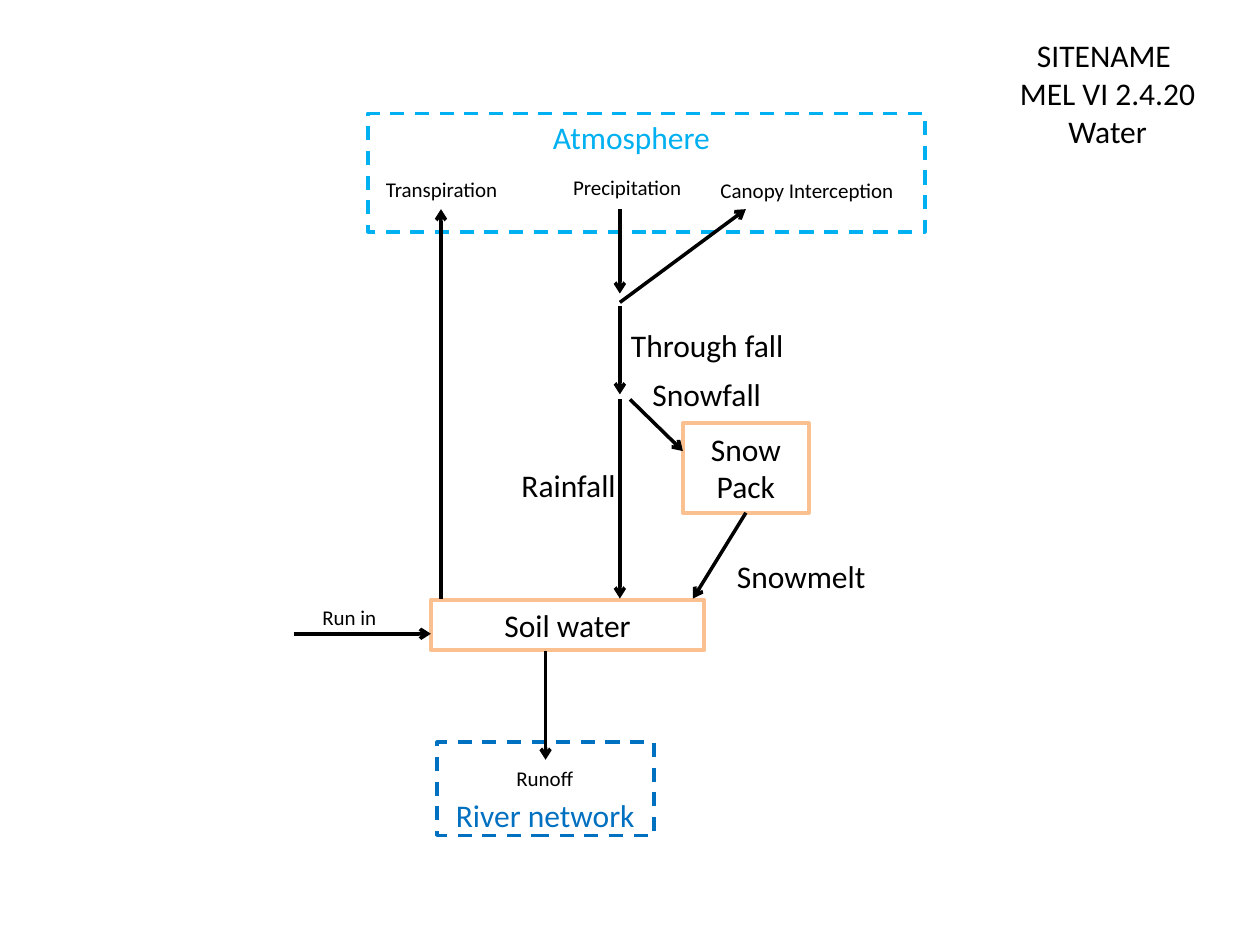
"""Build the water-cycle flow diagram slide."""
from lxml import etree
from pptx import Presentation
from pptx.dml.color import RGBColor
from pptx.enum.dml import MSO_LINE
from pptx.enum.shapes import MSO_CONNECTOR, MSO_SHAPE
from pptx.enum.text import MSO_ANCHOR, PP_ALIGN
from pptx.oxml.ns import qn
from pptx.util import Inches, Pt

DASH = MSO_LINE.DASH
STRAIGHT = MSO_CONNECTOR.STRAIGHT
RECTANGLE = MSO_SHAPE.RECTANGLE
TOP = MSO_ANCHOR.TOP
LEFT, CENTER = PP_ALIGN.LEFT, PP_ALIGN.CENTER
BLACK, ORANGE, SKY, BLUE = "000000", "FAC090", "00B0F0", "0070C0"


def color(value):
    """Return the colour for a hex string."""
    return RGBColor.from_string(value)


def write(shape, text, size, font_color, alignment, wrap=True):
    """Fill a shape with formatted text."""
    frame = shape.text_frame
    frame.text = text
    frame.word_wrap = wrap
    frame.vertical_anchor = TOP
    for paragraph in frame.paragraphs:
        paragraph.alignment = alignment
        for run in paragraph.runs:
            run.font.name = "Calibri"
            run.font.size = Pt(size)
            run.font.color.rgb = color(font_color)


presentation = Presentation()
presentation.slide_width = Inches(10)
presentation.slide_height = Inches(7.5)
slide = presentation.slides.add_slide(presentation.slide_layouts[6])

boxes = [
    (3.42, 4.76, 2.17, 0.4, ORANGE, 2.25, None, "Soil water"),
    (5.42, 3.36, 1, 0.71, ORANGE, 2.25, None, "Snow Pack"),
    (3.47, 5.89, 1.72, 0.74, BLUE, 2, DASH, ""),
    (2.92, 0.9, 4.42, 0.94, SKY, 2, DASH, ""),
]
for left, top, width, height, line_color, weight, dash, text in boxes:
    box = slide.shapes.add_shape(
        RECTANGLE, Inches(left), Inches(top), Inches(width), Inches(height))
    box.shadow.inherit = False
    box.fill.background()
    box.line.color.rgb = color(line_color)
    box.line.width = Pt(weight)
    if dash is not None:
        box.line.dash_style = dash
    if text:
        write(box, text, 18, BLACK, CENTER)

rain_x, air_y, soil_y = 4.92, 1.66, 4.75
flows = [
    (4.33, 5.17, 4.33, 6.03),
    (rain_x, air_y, rain_x, 2.33),
    (rain_x, 2.4, 5.92, air_y),
    (rain_x, 2.43, rain_x, 3.13),
    (rain_x, 3.17, rain_x, soil_y),
    (5, 3.17, 5.42, 3.58),
    (5.92, 4.07, 5.5, soil_y),
    (3.5, soil_y, 3.5, air_y),
    (2.33, 5.03, 3.42, 5.03),
]
for flow in flows:
    arrow = slide.shapes.add_connector(STRAIGHT, *[Inches(value) for value in flow])
    arrow.line.color.rgb = color(BLACK)
    arrow.line.width = Pt(2)
    etree.SubElement(arrow.line._get_or_add_ln(), qn("a:tailEnd"), type="arrow")
    etree.SubElement(arrow._element.spPr, qn("a:effectLst"))

labels = [
    ("Precipitation", 4.45, 1.34, 1.13, 0.3, 12, BLACK, LEFT),
    ("Canopy Interception", 5.57, 1.36, 1.67, 0.3, 12, BLACK, CENTER),
    ("Transpiration", 2.92, 1.35, 1.17, 0.3, 12, BLACK, CENTER),
    ("Runoff", 4, 6.03, 0.67, 0.3, 12, BLACK, LEFT),
    ("Run in", 2.46, 4.75, 0.67, 0.3, 12, BLACK, LEFT),
    ("Through fall", 4.91, 2.54, 1.67, 0.4, 18, BLACK, LEFT),
    ("Snowfall", 5.08, 2.93, 1.67, 0.4, 18, BLACK, LEFT),
    ("Snowmelt", 5.75, 4.37, 1.67, 0.4, 18, BLACK, LEFT),
    ("Rainfall", 4.04, 3.65, 1.25, 0.4, 18, BLACK, LEFT),
    ("Atmosphere", 4.29, 0.89, 1.47, 0.4, 18, SKY, LEFT),
    ("River network", 3.52, 6.27, 1.64, 0.4, 18, BLUE, LEFT),
    ("SITENAME \nMEL VI 2.4.20\nWater", 7.75, 0.24, 2.08, 1.01, 18, BLACK, CENTER),
]
for text, left, top, width, height, size, font_color, alignment in labels:
    label = slide.shapes.add_textbox(
        Inches(left), Inches(top), Inches(width), Inches(height))
    write(label, text, size, font_color, alignment, text != "River network")

presentation.save("out.pptx")
